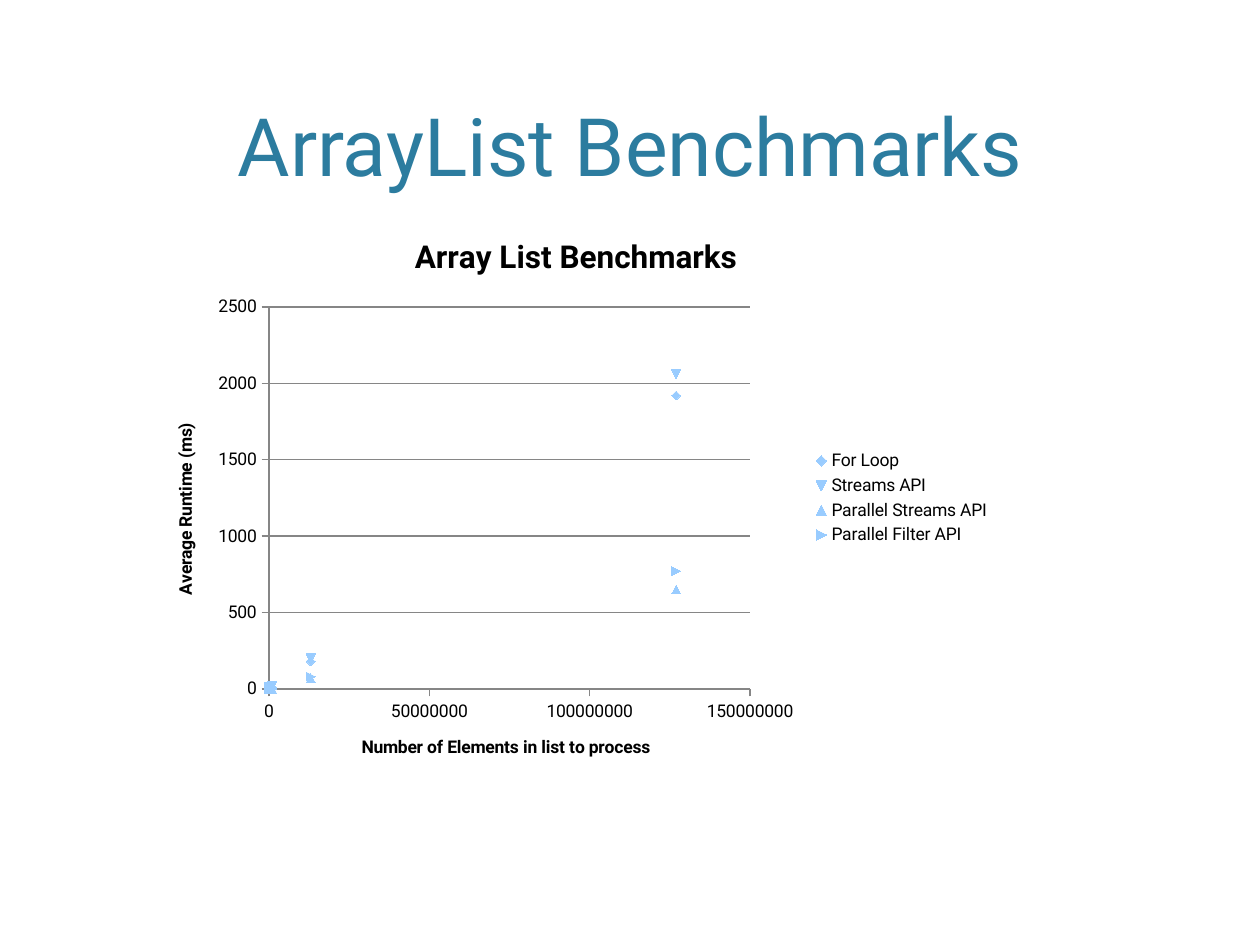
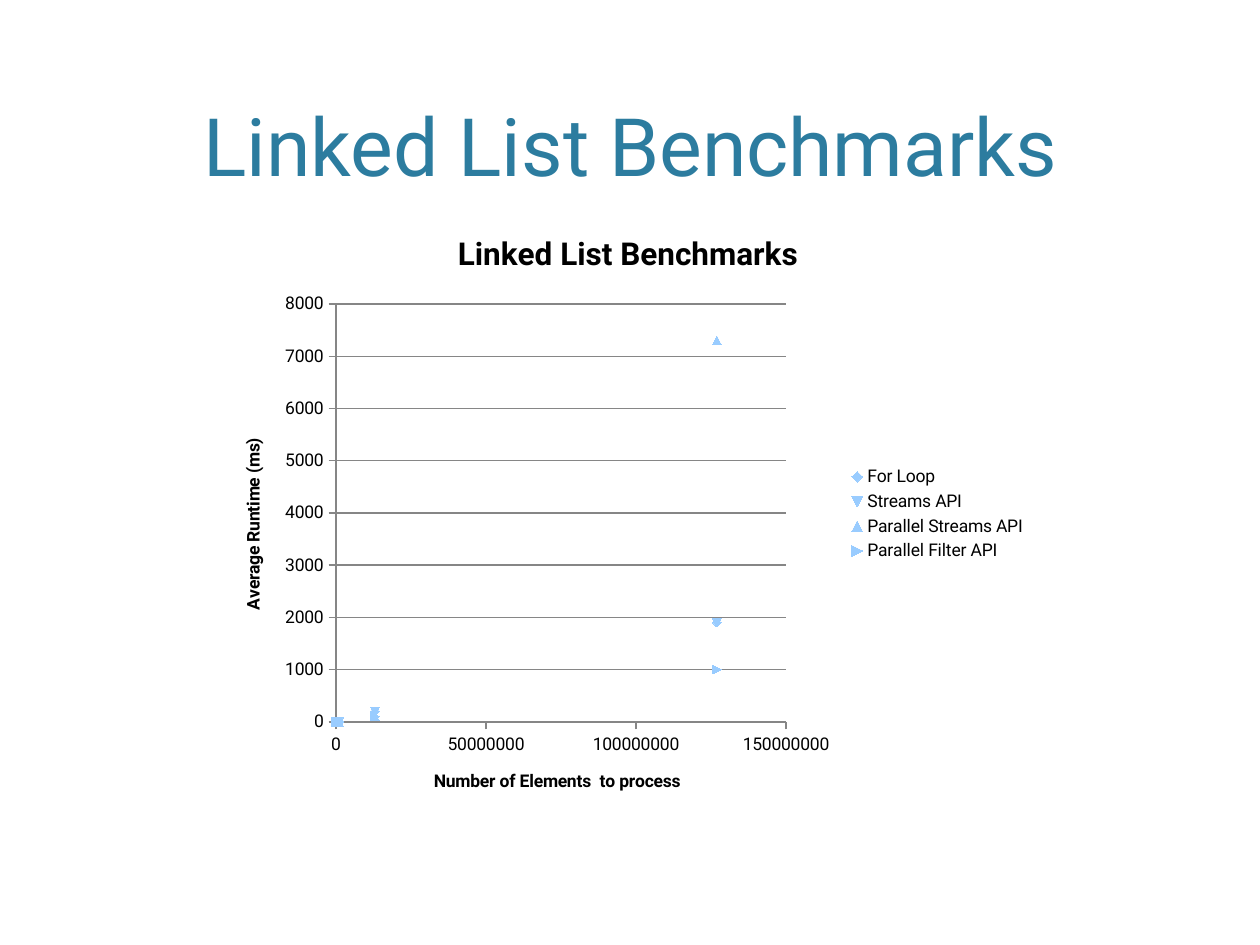
import pptx
import pptx.util
import pptx.chart.data
import pptx.dml.color
import pptx.enum.chart
import pptx.enum.text
import lxml.etree
from dataclasses import dataclass


@dataclass(frozen=True)
class Theme:
    font: str = "Roboto"
    blue: str = "2C7C9F"
    ink: str = "000000"
    grid: str = "868686"
    mark: str = "99CCFF"
    head: int = 46
    name: int = 18
    small: int = 10


theme = Theme()
scale = 914400 / 126
rgb = pptx.dml.color.RGBColor.from_string


def px(*sizes):
    return [pptx.util.Emu(round(size * scale)) for size in sizes]


def write(frame, text, size=theme.small, color=theme.ink, bold=False):
    frame.text = text
    para = frame.paragraphs[0]
    para.alignment = pptx.enum.text.PP_ALIGN.CENTER
    font = para.runs[0].font
    font.name, font.size, font.bold = theme.font, pptx.util.Pt(size), bold
    font.color.rgb = rgb(color)


# Data: boxes are left, top, width, height
counts = [0, 1000000, 13000000, 127000000]
names = ["For Loop", "Streams API", "Parallel Streams API", "Parallel Filter API"]
pages = [
    dict(title="ArrayList Benchmarks", name="Array List Benchmarks",
         across="Number of Elements in list to process",
         box=(149, 212, 854, 572), plot=(269, 307, 481, 382),
         top=2500, step=500,
         times=[[0, 10, 180, 1920], [10, 20, 200, 2060],
                [0, 0, 70, 650], [0, 0, 80, 770]]),
    dict(title="Linked List Benchmarks", name="Linked List Benchmarks",
         across="Number of Elements  to process",
         box=(217, 208, 822, 612), plot=(336, 304, 450, 418),
         top=8000, step=1000,
         times=[[0, 0, 200, 1900], [0, 0, 200, 1900],
                [0, 0, 100, 7300], [0, 0, 100, 1000]]),
]

deck = pptx.Presentation()
deck.slide_width, deck.slide_height = px(1260, 945)

for page in pages:
    slide = deck.slides.add_slide(deck.slide_layouts[5])

    # Slide title
    title = slide.shapes.title
    title.left, title.top, title.width, title.height = px(76, 15, 1108, 184)
    frame = title.text_frame
    write(frame, page["title"], size=theme.head, color=theme.blue)
    frame.word_wrap = True
    frame.auto_size = pptx.enum.text.MSO_AUTO_SIZE.NONE
    frame.vertical_anchor = pptx.enum.text.MSO_ANCHOR.BOTTOM

    # Scatter chart
    data = pptx.chart.data.XyChartData()
    for name, times in zip(names, page["times"]):
        line = data.add_series(name)
        for count, time in zip(counts, times):
            line.add_data_point(count, time)
    chart = slide.shapes.add_chart(
        pptx.enum.chart.XL_CHART_TYPE.XY_SCATTER, *px(*page["box"]), data).chart
    chart.font.name = theme.font
    chart.font.size = pptx.util.Pt(theme.small)
    chart.font.color.rgb = rgb(theme.ink)
    chart.has_title = True
    write(chart.chart_title.text_frame, page["name"], size=theme.name, bold=True)
    chart.has_legend = True
    chart.legend.position = pptx.enum.chart.XL_LEGEND_POSITION.RIGHT
    chart.legend.include_in_layout = False

    # Markers
    chart.plots[0].vary_by_categories = False
    for line in chart.plots[0].series:
        line.smooth = False
        fill = line.marker.format.fill
        fill.solid()
        fill.fore_color.rgb = rgb(theme.mark)

    # Axes
    across, up = chart.category_axis, chart.value_axis
    for axis, label, top, step in (
            (across, page["across"], 150000000, 50000000),
            (up, "Average Runtime (ms)", page["top"], page["step"])):
        axis.has_title = True
        write(axis.axis_title.text_frame, label, bold=True)
        axis.minimum_scale, axis.maximum_scale, axis.major_unit = 0, top, step
        axis.major_tick_mark = pptx.enum.chart.XL_TICK_MARK.OUTSIDE
        axis.minor_tick_mark = pptx.enum.chart.XL_TICK_MARK.NONE
        axis.tick_labels.number_format = "General"
        axis.tick_labels.number_format_is_linked = False
        axis.format.line.color.rgb = rgb(theme.grid)
        axis.format.line.width = pptx.util.Pt(0.75)
    across.has_major_gridlines = False
    up.has_major_gridlines = True
    rule = up.major_gridlines.format.line
    rule.color.rgb = rgb(theme.grid)
    rule.width = pptx.util.Pt(0.75)

    # Plot area inside the chart, as shares of its box
    left, top, wide, high = page["box"]
    x, y, w, h = page["plot"]
    area = chart.plots[0]._element.getparent()
    space = area.nsmap["c"]
    for old in area.findall("{%s}layout" % space):
        area.remove(old)
    layout = lxml.etree.Element("{%s}layout" % space)
    manual = lxml.etree.SubElement(layout, "{%s}manualLayout" % space)
    for tag, value in (("layoutTarget", "inner"), ("xMode", "edge"), ("yMode", "edge"),
                       ("x", (x - left) / wide), ("y", (y - top) / high),
                       ("w", w / wide), ("h", h / high)):
        lxml.etree.SubElement(manual, "{%s}%s" % (space, tag), val=str(value))
    area.insert(0, layout)

deck.save("out.pptx")
